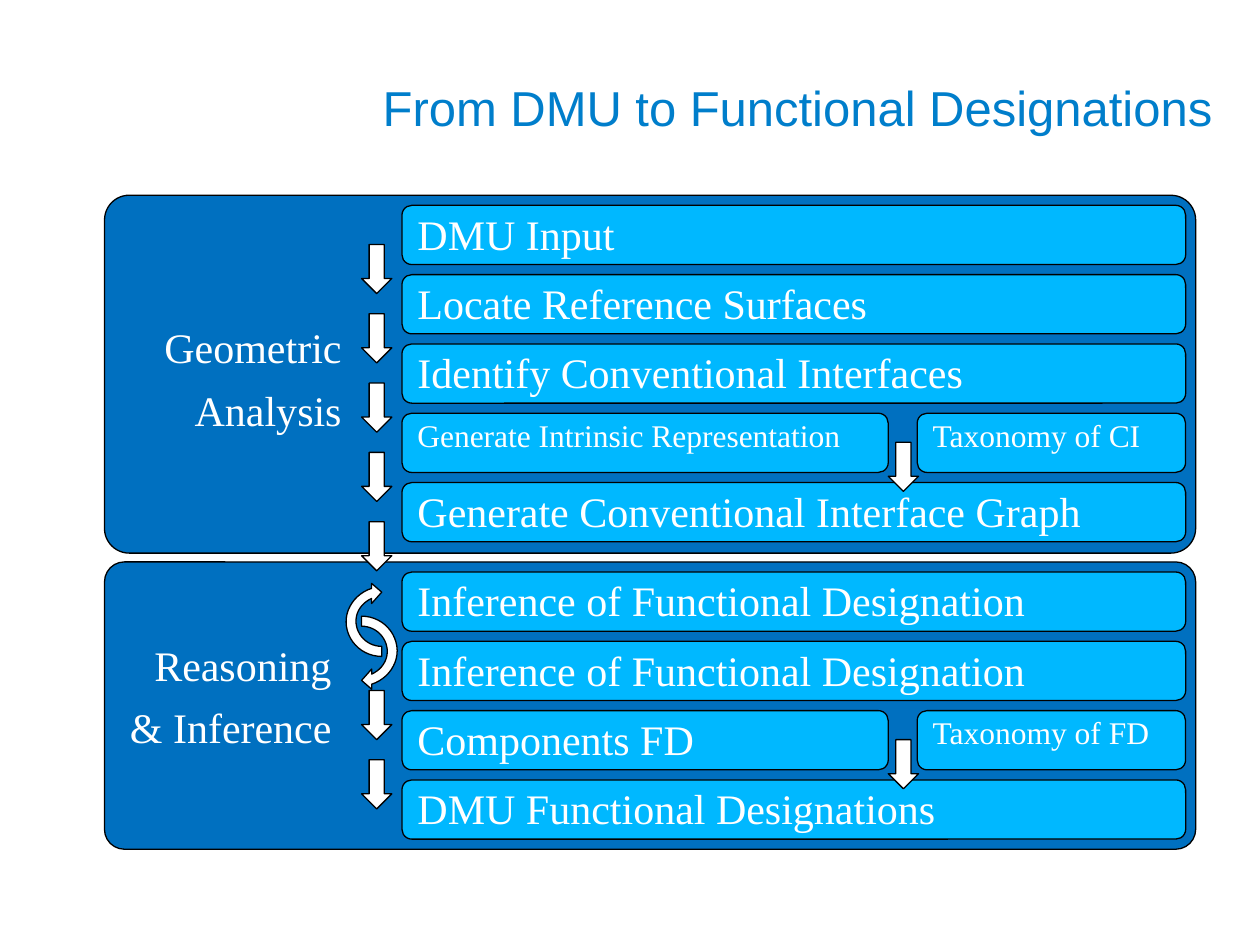
from dataclasses import dataclass

from pptx import Presentation
from pptx import util as u
from pptx.dml.color import RGBColor
from pptx.enum import shapes, text


@dataclass(frozen=True)
class Theme:
    panel: str = "0070C0"
    step: str = "00B8FF"
    white: str = "FFFFFF"
    outline: str = "000000"
    title: str = "007ECB"
    serif: str = "Times New Roman"
    sans: str = "Arial"
    title_size: int = 28
    large: int = 24
    small: int = 18
    line_width: float = 0.75


THEME = Theme()
PANEL_LEFT, PANEL_WIDTH = 0.83, 8.66
STEP_LEFT, STEP_WIDTH, STEP_HEIGHT, PITCH = 3.19, 6.22, 0.47, 0.55
SHORT_WIDTH, SIDE_LEFT, SIDE_WIDTH = 3.86, 7.28, 2.13
ARROW_LEFT, SIDE_ARROW_LEFT = 2.87, 7.05
SHAPE = shapes.MSO_SHAPE

# Each panel: steps are (text, size); a side step shares the row before the last
PANELS = [
    dict(top=1.55, height=2.84, first=1.63,
         steps=[("DMU Input", THEME.large),
                ("Locate Reference Surfaces", THEME.large),
                ("Identify Conventional Interfaces", THEME.large),
                ("Generate Intrinsic Representation", THEME.small),
                ("Generate Conventional Interface Graph", THEME.large)],
         side="Taxonomy of CI", label="Geometric Analysis", label_at=(0.91, 2.41),
         arrow_rows=range(4), arrow_drop=0.31),
    dict(top=4.46, height=2.28, first=4.54,
         steps=[("Inference of Functional Designation", THEME.large),
                ("Inference of Functional Designation", THEME.large),
                ("Components FD", THEME.large),
                ("DMU Functional Designations", THEME.large)],
         side="Taxonomy of FD", label="Reasoning & Inference", label_at=(0.83, 4.93),
         arrow_rows=range(1, 3), arrow_drop=0.39),
]

# Curved arrow: a point is a line end, a triple of points is a Bezier curve
CURVED_START = (2.87, 4.89)
CURVED_ARROW = [
    ((3.01, 4.89), (3.13, 4.99), (3.15, 5.13)),
    ((3.17, 5.26), (3.08, 5.39), (2.95, 5.43)),
    (2.95, 5.47), (2.87, 5.4), (2.95, 5.31), (2.95, 5.35),
    ((3.04, 5.31), (3.09, 5.22), (3.07, 5.13)),
    ((3.05, 5.04), (2.97, 4.97), (2.87, 4.97)),
]
CYCLE_CENTER = (2.95, 5.05)


def set_values(target, values):
    for name, value in values.items():
        setattr(target, name, value)


def box(left, top, width, height):
    return [u.Inches(value) for value in (left, top, width, height)]


def paint(shape, color):
    shape.shadow.inherit = False
    shape.fill.solid()
    shape.fill.fore_color.rgb = RGBColor.from_string(color)
    shape.line.color.rgb = RGBColor.from_string(THEME.outline)
    shape.line.width = u.Pt(THEME.line_width)


def write(shape, content, size, font, color, margins, frame_format, paragraph_format, indent=0):
    frame = shape.text_frame
    frame.text = content
    sides = ("margin_left", "margin_top", "margin_right", "margin_bottom")
    set_values(frame, dict(zip(sides, map(u.Inches, margins))))
    set_values(frame, {"word_wrap": True, **frame_format})
    paragraph = frame.paragraphs[0]
    if indent:
        properties = paragraph._p.get_or_add_pPr()
        properties.set("marL", str(u.Inches(indent)))
        properties.set("indent", "0")
    set_values(paragraph, paragraph_format)
    set_values(paragraph.font, {"size": u.Pt(size), "name": font})
    paragraph.font.color.rgb = RGBColor.from_string(color)


def add_rounded(parent, bounds, color, rounding):
    shape = parent.shapes.add_shape(SHAPE.ROUNDED_RECTANGLE, *box(*bounds))
    shape.adjustments[0] = rounding
    paint(shape, color)
    return shape


def add_step(parent, left, top, width, content, size, right_margin):
    shape = add_rounded(parent, (left, top, width, STEP_HEIGHT), THEME.step, 0.167)
    write(shape, content, size, THEME.serif, THEME.white, (0, 0, right_margin, 0),
          {"vertical_anchor": text.MSO_ANCHOR.TOP},
          {"alignment": text.PP_ALIGN.LEFT}, indent=0.1)


def add_down_arrow(parent, left, top):
    paint(parent.shapes.add_shape(SHAPE.DOWN_ARROW, *box(left, top, 0.24, 0.39)), THEME.white)


def add_label(parent, left, top, content):
    label = parent.shapes.add_textbox(*box(left, top, 1.9, 1.09))
    write(label, content, THEME.large, THEME.serif, THEME.white, (0.1, 0.05, 0.1, 0.05),
          {"vertical_anchor": text.MSO_ANCHOR.TOP},
          {"alignment": text.PP_ALIGN.RIGHT, "line_spacing": 1.24})


def curve_points(start, first, second, end, count=12):
    for step in range(1, count + 1):
        t = step / count
        weights = ((1 - t) ** 3, 3 * t * (1 - t) ** 2, 3 * t * t * (1 - t), t ** 3)
        yield tuple(sum(w * p[axis] for w, p in zip(weights, (start, first, second, end)))
                    for axis in (0, 1))


def add_curved_arrow(parent, half_turn):
    points = [CURVED_START]
    for segment in CURVED_ARROW:
        if isinstance(segment[0], tuple):
            points.extend(curve_points(points[-1], *segment))
        else:
            points.append(segment)
    if half_turn:
        center_x, center_y = CYCLE_CENTER
        points = [(2 * center_x - x, 2 * center_y - y) for x, y in points]
    outline = [(u.Inches(x), u.Inches(y)) for x, y in points]
    builder = parent.shapes.build_freeform(*outline[0])
    builder.add_line_segments(outline[1:], close=True)
    paint(builder.convert_to_shape(), THEME.white)


def add_panel(slide, panel):
    group = slide.shapes.add_group_shape()
    add_rounded(group, (PANEL_LEFT, panel["top"], PANEL_WIDTH, panel["height"]),
                THEME.panel, 0.069)
    tops = [panel["first"] + PITCH * row for row in range(len(panel["steps"]))]
    side_top = tops[-2]
    for top, (content, size) in zip(tops, panel["steps"]):
        width = SHORT_WIDTH if top == side_top else STEP_WIDTH
        add_step(group, STEP_LEFT, top, width, content, size, 0.3)
    add_step(group, SIDE_LEFT, side_top, SIDE_WIDTH, panel["side"], THEME.small, 0)
    for row in panel["arrow_rows"]:
        add_down_arrow(group, ARROW_LEFT, tops[row] + panel["arrow_drop"])
    add_down_arrow(group, SIDE_ARROW_LEFT, side_top + 0.23)
    add_label(group, *panel["label_at"], panel["label"])
    return group


def add_title(slide, content):
    title = slide.shapes.title
    bounds = zip(("left", "top", "width", "height"), box(2.12, 0.07, 7.6, 1.43))
    set_values(title, dict(bounds))
    write(title, content, THEME.title_size, THEME.sans, THEME.title, (0.1, 0.05, 0.1, 0.05),
          {"vertical_anchor": text.MSO_ANCHOR.MIDDLE},
          {"alignment": text.PP_ALIGN.RIGHT, "line_spacing": 1.26})


def main():
    presentation = Presentation()
    set_values(presentation, {"slide_width": u.Inches(10), "slide_height": u.Inches(7.5)})
    slide = presentation.slides.add_slide(presentation.slide_layouts[5])
    add_title(slide, "From DMU to Functional Designations")

    # Panels with their steps
    groups = [add_panel(slide, panel) for panel in PANELS]

    # Cycle between the two inference steps
    for half_turn in (False, True):
        add_curved_arrow(groups[-1], half_turn)

    # Link from analysis to reasoning
    add_down_arrow(slide, ARROW_LEFT, 4.14)
    presentation.save("out.pptx")


if __name__ == "__main__":
    main()
